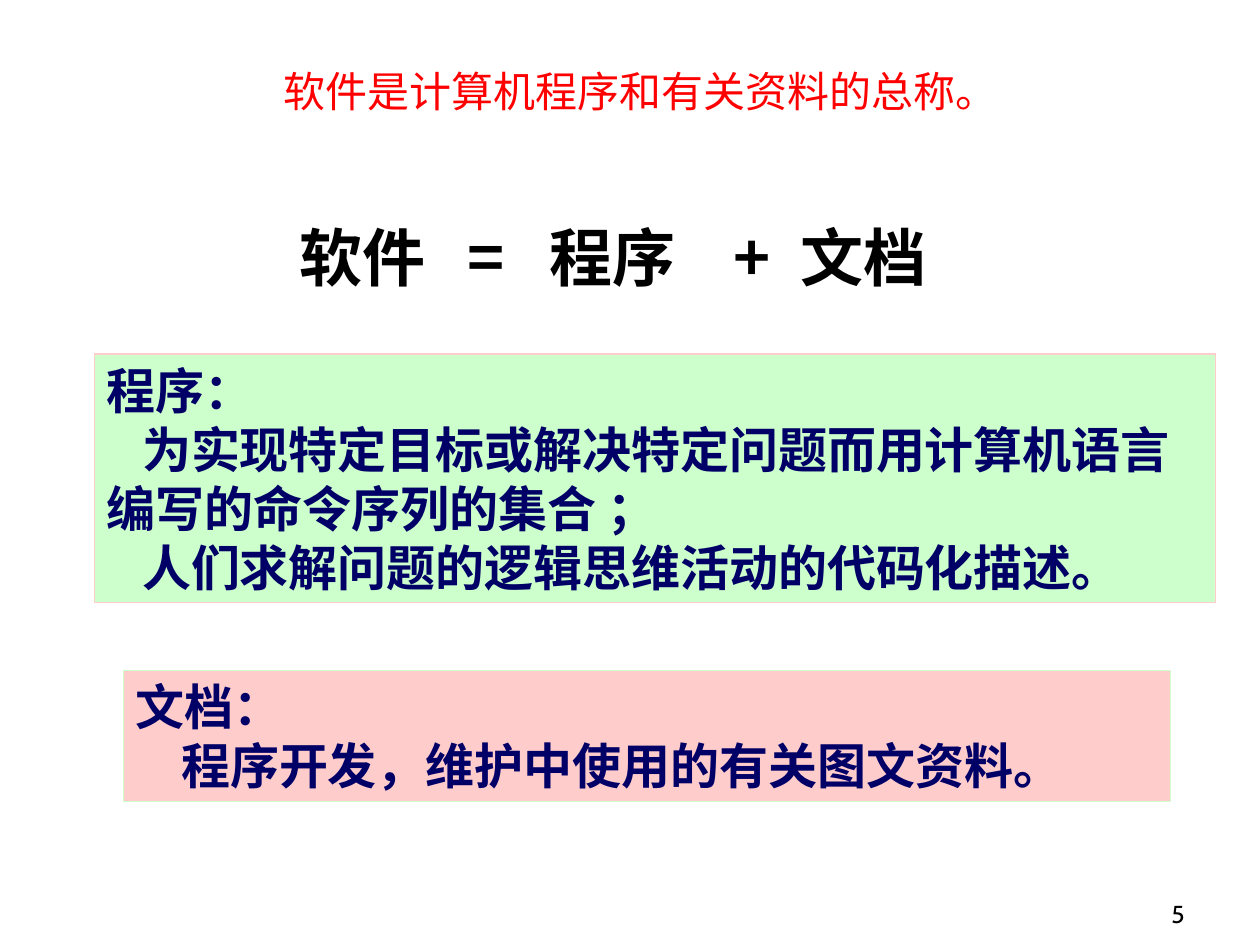
from lxml import etree
from pptx import Presentation
from pptx import util as u
from pptx.dml.color import RGBColor
from pptx.enum import shapes, text
from pptx.oxml.ns import qn

SC, JP = "Noto Sans CJK SC", "Noto Sans CJK JP"
NAVY, GREEN, PINK = "000066", "CCFFCC", "FFCCCC"


def color(fmt, value):
    fmt.rgb = RGBColor.from_string(value)


def write(p, words, size, font, value, bold=False, spacing=None):
    if spacing:
        p.line_spacing = u.Pt(spacing)
    r = p.add_run()
    r.text = words
    r.font.size, r.font.bold, r.font.name = u.Pt(size), bold, font
    color(r.font.color, value)
    etree.SubElement(r._r.get_or_add_rPr(), qn("a:ea"), typeface=font)


prs = Presentation()
prs.slide_width, prs.slide_height = u.Inches(10), u.Inches(7.5)
s = prs.slides.add_slide(prs.slide_layouts[5])

title = s.shapes.title
title.left, title.top = u.Inches(0.83), u.Inches(0.44)
title.width, title.height = u.Inches(8.5), u.Inches(0.67)
tf = title.text_frame
tf.vertical_anchor = text.MSO_ANCHOR.TOP
p = tf.paragraphs[0]
p.alignment = text.PP_ALIGN.CENTER
write(p, "软件是计算机程序和有关资料的总称。", 24, SC, "FF0000", spacing=31)

equation = s.shapes.add_textbox(u.Inches(1.85), u.Inches(1.7), u.Inches(6.06), u.Inches(0.63))
tf = equation.text_frame
tf.word_wrap = True
tf.margin_left = u.Inches(0.53)
p = tf.paragraphs[0]
tabs = etree.SubElement(p._p.get_or_add_pPr(), qn("a:tabLst"))
for stop in (1.33, 1.98, 3.44, 3.97):
    etree.SubElement(tabs, qn("a:tab"), pos=str(u.Inches(stop)), algn="l")
write(p, "软件\t=\t程序\t+\t文档", 36, JP, "000000", True, 42)

definitions = [
    (0.75, 2.81, 8.9, 1.97, GREEN, PINK, 0.28, [
        "程序：",
        "为实现特定目标或解决特定问题而用计算机语言编写的命令序列的集合 ；",
        "人们求解问题的逻辑思维活动的代码化描述。"]),
    (0.98, 5.32, 8.31, 1.04, PINK, GREEN, 0.36, [
        "文档：",
        "程序开发，维护中使用的有关图文资料。"]),
]
for left, top, width, height, fill, line, indent, lines in definitions:
    sp = s.shapes.add_shape(shapes.MSO_SHAPE.RECTANGLE, u.Inches(left), u.Inches(top),
                            u.Inches(width), u.Inches(height))
    sp.shadow.inherit = False
    sp.fill.solid()
    color(sp.fill.fore_color, fill)
    color(sp.line.color, line)
    sp.line.width = u.Pt(0.75)
    tf = sp.text_frame
    tf.word_wrap = True
    tf.vertical_anchor = text.MSO_ANCHOR.TOP
    for i, words in enumerate(lines):
        p = tf.add_paragraph() if i else tf.paragraphs[0]
        p.alignment = text.PP_ALIGN.LEFT
        if i:
            p._p.get_or_add_pPr().set("indent", str(u.Inches(indent)))
        write(p, words, 28, SC, NAVY, True, 33.7)

number = s.shapes.add_textbox(u.Inches(7.42), u.Inches(6.92), u.Inches(2.08), u.Inches(0.5))
tf = number.text_frame
tf.word_wrap = True
tf.vertical_anchor = text.MSO_ANCHOR.BOTTOM
p = tf.paragraphs[0]
p.alignment = text.PP_ALIGN.RIGHT
write(p, "5", 14, "Cabin", "000000")

prs.save("out.pptx")
